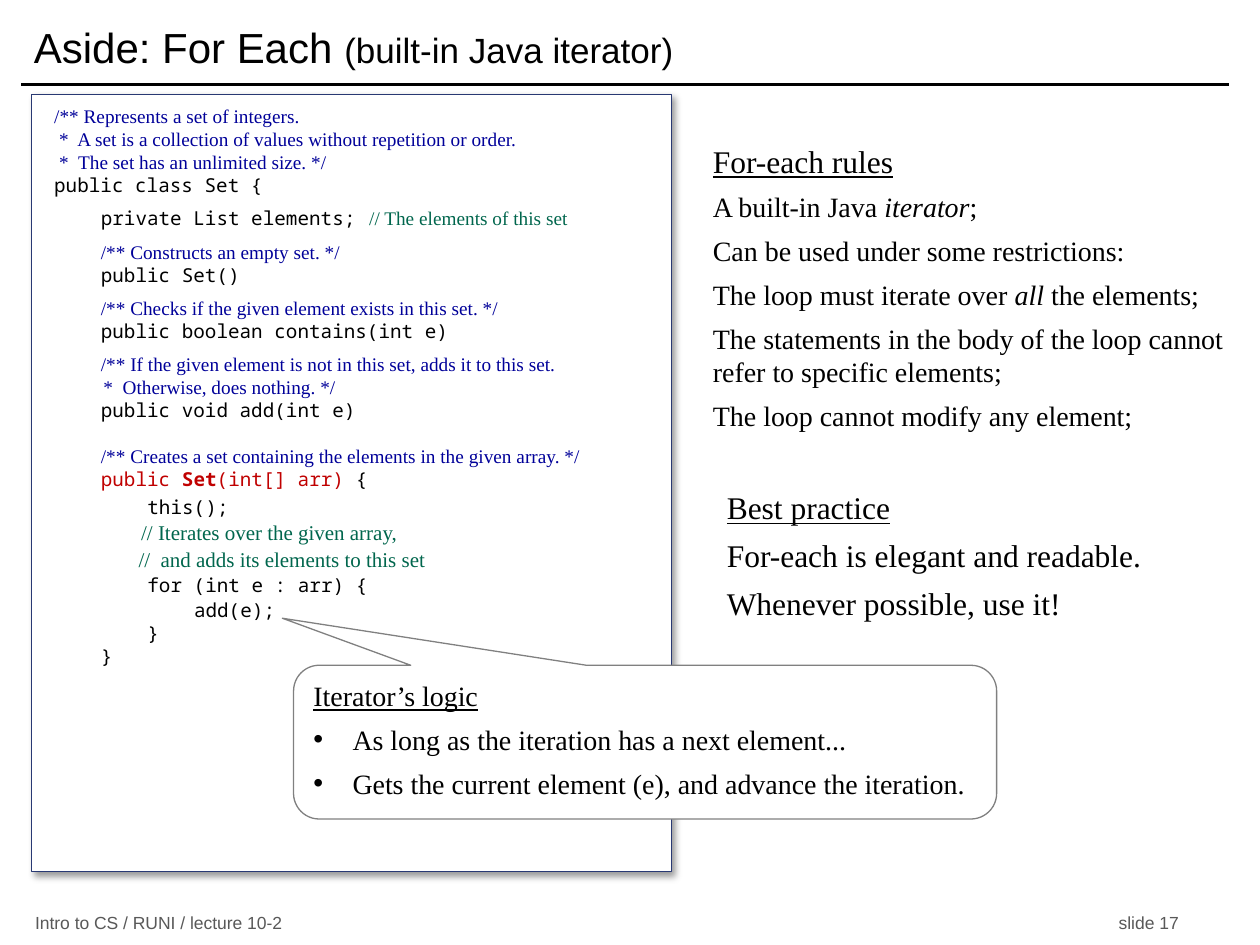
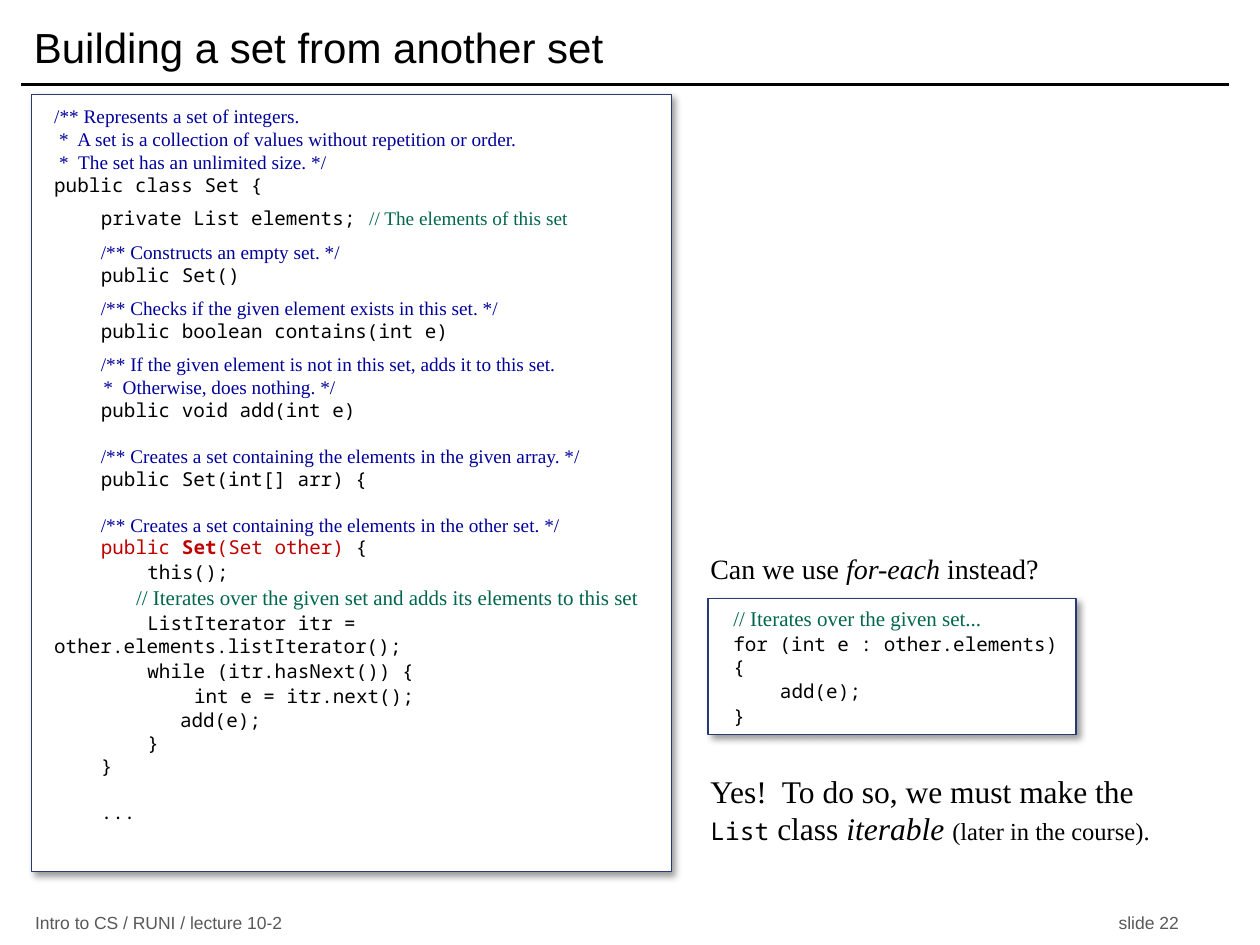
from dataclasses import dataclass

from lxml import etree
from pptx import Presentation
from pptx.dml.color import RGBColor
from pptx.enum.shapes import MSO_CONNECTOR, MSO_SHAPE
from pptx.enum.text import MSO_ANCHOR, PP_ALIGN
from pptx.oxml.ns import qn
from pptx.util import Inches, Pt

RECT, CALLOUT = MSO_SHAPE.RECTANGLE, MSO_SHAPE.ROUNDED_RECTANGULAR_CALLOUT
STRAIGHT = MSO_CONNECTOR.STRAIGHT
TOP, MIDDLE = MSO_ANCHOR.TOP, MSO_ANCHOR.MIDDLE
LEFT = PP_ALIGN.LEFT

COLORS = {
    "text": "000000", "paper": "FFFFFF", "footer": "595959", "frame": "293973",
    "callout": "808080", "doc": "000099", "comment": "00664D", "key": "C00000",
}
SANS, SERIF, MONO = "Arial", "Times New Roman", "Noto Sans Mono"
LEADING = 1.19    # line height relative to the text size
STEP = 0.37       # one level of code indentation, inches
BLANK = 13        # one empty code line, points
TEXT_INSETS = (0.1, 0.05, 0.1, 0.05)


@dataclass
class Style:
    font: str
    size: int
    color: str = "text"
    bold: bool = False
    italic: bool = False
    underline: bool = False


STYLES = {
    "title": Style(SANS, 24),
    "subtitle": Style(SANS, 20),
    "footer": Style(SANS, 10, "footer"),
    "code": Style(MONO, 11),
    "key": Style(MONO, 11, "key"),
    "keybold": Style(MONO, 11, "key", bold=True),
    "doc": Style(SERIF, 11, "doc"),
    "remark": Style(SERIF, 11, "comment"),
    "comment": Style(SERIF, 12, "comment"),
    "head": Style(SERIF, 18, underline=True),
    "head16": Style(SERIF, 16, underline=True),
    "big": Style(SERIF, 18),
    "bigital": Style(SERIF, 18, italic=True),
    "body": Style(SERIF, 16),
    "ital": Style(SERIF, 16, italic=True),
    "small": Style(SERIF, 14),
    "code14": Style(MONO, 14),
}


@dataclass
class Line:
    runs: tuple
    before: float = 0
    first: float = 0
    left: float = 0
    tab: float = 0
    bullet: bool = False


def line(*runs, **layout):
    """A paragraph; runs alternate style name and text."""
    return Line(tuple(zip(runs[::2], runs[1::2])), **layout)


def rgb(name):
    return RGBColor.from_string(COLORS[name])


# Text
def add_run(p, style, text):
    st = STYLES[style]
    r = p.add_run()
    r.text = text
    f = r.font
    f.name, f.size, f.color.rgb = st.font, Pt(st.size), rgb(st.color)
    f.bold, f.italic, f.underline = st.bold, st.italic, st.underline


def write(tf, lines, insets=TEXT_INSETS, anchor=TOP, wrap=True):
    tf.word_wrap, tf.vertical_anchor = wrap, anchor
    (tf.margin_left, tf.margin_top,
     tf.margin_right, tf.margin_bottom) = map(Inches, insets)
    for i, ln in enumerate(lines):
        p = tf.add_paragraph() if i else tf.paragraphs[0]
        p.alignment = LEFT
        p.space_before = Pt(ln.before)
        p.line_spacing = Pt(LEADING * max(STYLES[s].size for s, _ in ln.runs))
        pPr = p._p.get_or_add_pPr()
        pPr.set("marL", str(Inches(ln.left)))
        pPr.set("indent", str(Inches(ln.first)))
        if ln.bullet:
            etree.SubElement(pPr, qn("a:buFont"), typeface="Arial")
            etree.SubElement(pPr, qn("a:buChar"), char="•")
        if ln.tab:
            tabs = etree.SubElement(pPr, qn("a:tabLst"))
            etree.SubElement(tabs, qn("a:tab"), pos=str(Inches(ln.tab)), algn="l")
        for style, text in ln.runs:
            add_run(p, style, text)


def add_text(s, box, lines, **options):
    write(s.shapes.add_textbox(*map(Inches, box)).text_frame, lines, **options)


# Shapes
def add_panel(s, kind, box, border):
    sp = s.shapes.add_shape(kind, *map(Inches, box))
    sp.fill.solid()
    sp.fill.fore_color.rgb = rgb("paper")
    sp.line.color.rgb = rgb(border)
    sp.line.width = Pt(0.75)
    sp.shadow.inherit = False
    return sp


def add_code_box(s, box, lines, **options):
    sp = add_panel(s, RECT, box, "frame")
    effects = sp._element.spPr.find(qn("a:effectLst"))
    shadow = etree.SubElement(effects, qn("a:outerShdw"), blurRad=str(Pt(4)),
                              dist=str(Pt(3)), dir="2700000", algn="tl", rotWithShape="0")
    color = etree.SubElement(shadow, qn("a:srgbClr"), val=COLORS["text"])
    etree.SubElement(color, qn("a:alpha"), val="40000")
    write(sp.text_frame, lines, **options)


def add_callout(s, box, tip, lines):
    sp = add_panel(s, CALLOUT, box, "callout")
    for i, value in enumerate((*tip, 0.167)):
        sp.adjustments[i] = value
    write(sp.text_frame, lines)


# Title, rule and footer shared by the slides
def add_frame(prs, number, *title):
    s = prs.slides.add_slide(prs.slide_layouts[6])
    rule = s.shapes.add_connector(STRAIGHT, *map(Inches, (0.17, 0.67, 9.75, 0.67)))
    rule.line.color.rgb = rgb("text")
    rule.line.width = Pt(2)
    etree.SubElement(rule._element.spPr, qn("a:effectLst"))
    for x, w, text in ((0.18, 3, "Intro to CS / RUNI / lecture 10-2"),
                       (8.78, 0.82, f"slide {number}")):
        add_text(s, (x, 7.23, w, 0.19), [line("footer", text)],
                 anchor=MIDDLE, wrap=False)
    add_text(s, (0.17, 0.08, 9.58, 0.58), [line(*title)], anchor=MIDDLE)
    return s


# The Set class, up to the constructor that each slide adds
def code(text, level=1, before=0):
    return line("code", text, first=level * STEP, before=before)


def doc(text, level=1, before=0, shift=0):
    return line("doc", text, first=level * STEP + shift, before=before)


def comment(text, first):
    return line("comment", text, first=first, before=1)


def constructor(parameters):
    return line("key", "public ", "keybold", "Set", "key", f"({parameters}) ",
                "code", "{", first=STEP)


SET_CLASS = [
    doc("/** Represents a set of integers.", 0),
    doc("*  A set is a collection of values without repetition or order.", 0, shift=0.04),
    doc("*  The set has an unlimited size. */", 0, shift=0.04),
    code("public class Set {", 0),
    line("code", "private List elements;\t", "remark", "// The elements of this set",
         first=STEP, before=6, tab=2.57),
    doc("/** Constructs an empty set. */", before=6),
    code("public Set()"),
    doc("/** Checks if the given element exists in this set. */", before=6),
    code("public boolean contains(int e)"),
    doc("/** If the given element is not in this set, adds it to this set.", before=6),
    doc("*  Otherwise, does nothing. */", shift=0.02),
    code("public void add(int e)"),
    doc("/** Creates a set containing the elements in the given array. */", before=BLANK),
]


def add_set_class(s, lines):
    add_code_box(s, (0.25, 0.75, 5.08, 6.17), SET_CLASS + lines,
                 insets=(0.18, 0.08, 0, 0))


def for_each_slide(prs):
    s = add_frame(prs, 17, "title", "Aside: For Each ",
                  "subtitle", "(built-in Java iterator)")
    add_text(s, (5.67, 3.83, 4.33, 1.34), [
        line("head", "Best practice"),
        line("big", "For-each is elegant and readable.", before=6),
        line("big", "Whenever possible, use it!", before=6),
    ])
    add_set_class(s, [
        constructor("int[] arr"),
        code("this();", 2, 3),
        comment("// Iterates over the given array,", 0.69),
        comment("//  and adds its elements to this set", 0.67),
        code("for (int e : arr) {", 2, 1),
        code("add(e);", 3, 1),
        code("}", 2),
        code("}"),
    ])
    bullet = {"left": 0.31, "first": -0.31, "before": 6, "bullet": True}
    add_callout(s, (2.33, 5.28, 5.58, 1.22), (-0.516, -0.806), [
        line("head16", "Iterator’s logic", before=2),
        line("body", "As long as the iteration has a next element...", **bullet),
        line("body", "Gets the current element (e), and advance the iteration.", **bullet),
    ])
    add_text(s, (5.56, 1.08, 4.33, 2), [
        line("head", "For-each rules"),
        line("body", "A built-in Java ", "ital", "iterator", "body", ";", before=6),
        line("body", "Can be used under some restrictions:", before=6),
        line("body", "The loop must iterate over ", "ital", "all",
             "body", " the elements;", before=6),
        line("body", "The statements in the body of the loop cannot "
             "refer to specific elements;", before=6),
        line("body", "The loop cannot modify any element;", before=6),
    ])


def set_from_set_slide(prs):
    s = add_frame(prs, 22, "title", "Building a set from another set")
    add_set_class(s, [
        code("public Set(int[] arr) {"),
        doc("/** Creates a set containing the elements in the other set. */", before=BLANK),
        constructor("Set other"),
        code("this();", 2, 1),
        comment("// Iterates over the given set and adds its elements to this set", 0.65),
        code("ListIterator itr = other.elements.listIterator();", 2, 1),
        code("while (itr.hasNext()) {", 2, 1),
        code("int e = itr.next();", 3, 1),
        code("add(e);", 2.7, 1),
        code("}", 2),
        code("}"),
        code("...", before=BLANK),
    ])
    add_code_box(s, (5.62, 4.75, 2.92, 1.08), [
        comment("// Iterates over the given set...", 0),
        code("for (int e : other.elements) {", 0, 1),
        code("add(e);", 1, 1),
        code("}", 0, 1),
    ], insets=(0.2, 0, 0, 0), anchor=MIDDLE)
    add_text(s, (5.54, 4.33, 3, 0.46), [
        line("body", "Can we use ", "ital", "for-each", "body", " instead?"),
    ])
    add_text(s, (5.54, 6.08, 3.75, 0.75), [
        line("big", "Yes!  To do so, we must make the ", "code14", "List",
             "big", " class ", "bigital", "iterable ",
             "small", "(later in the course)."),
    ])


def main():
    prs = Presentation()
    prs.slide_width, prs.slide_height = Inches(10), Inches(7.5)
    for_each_slide(prs)
    set_from_set_slide(prs)
    prs.save("out.pptx")


if __name__ == "__main__":
    main()
